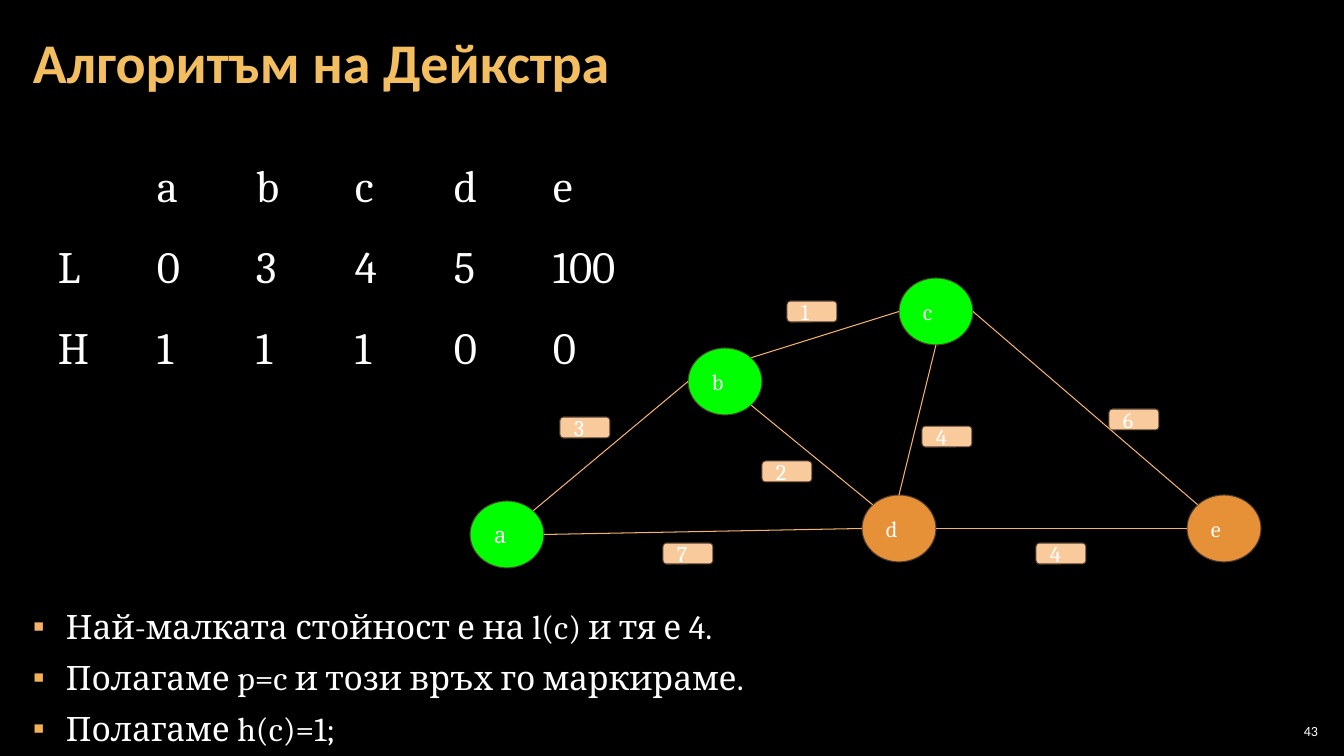
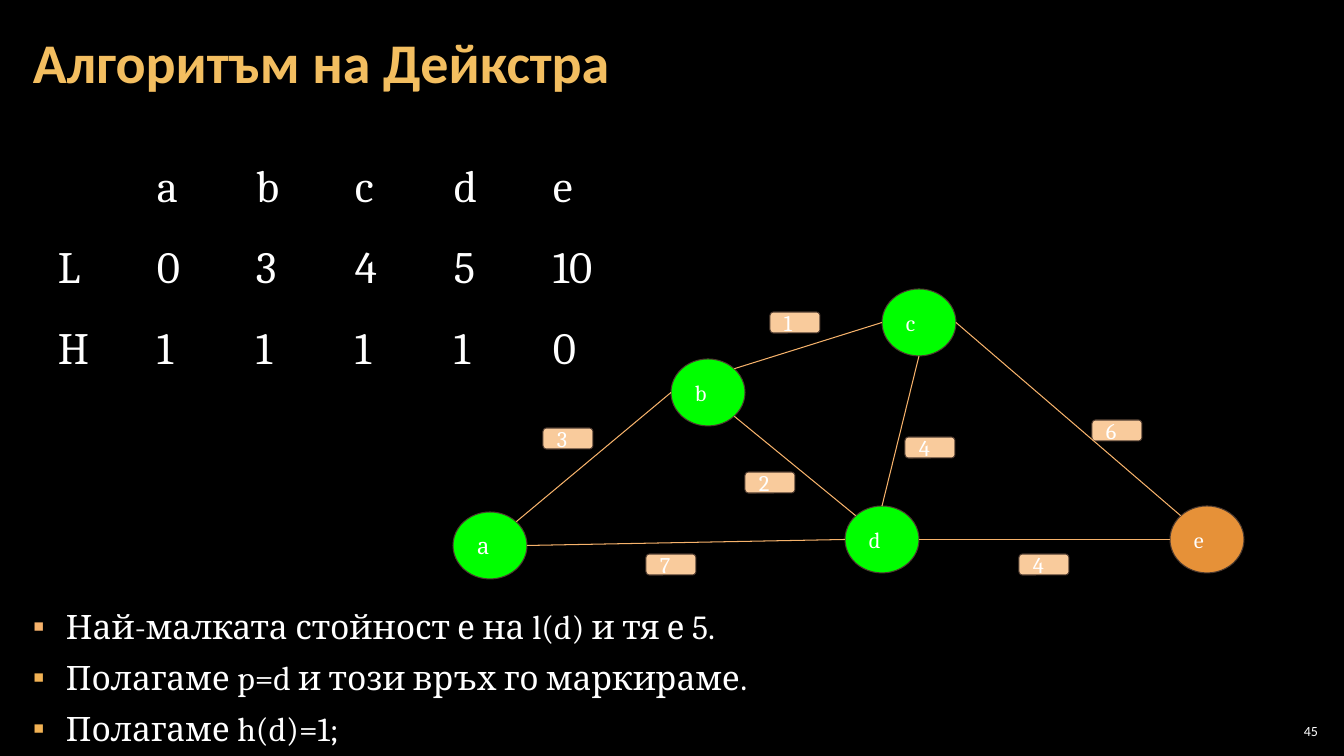
"""Two slides that step through a shortest path search on a graph."""
from lxml import etree
from pptx import Presentation
from pptx.dml.color import RGBColor
from pptx.enum.shapes import MSO_CONNECTOR, MSO_SHAPE
from pptx.enum.text import MSO_ANCHOR, MSO_AUTO_SIZE, PP_ALIGN
from pptx.oxml.ns import qn
from pptx.util import Emu, Pt

LINE = MSO_CONNECTOR.STRAIGHT
OVAL, ROUND = MSO_SHAPE.OVAL, MSO_SHAPE.ROUNDED_RECTANGLE
TOP, MIDDLE = MSO_ANCHOR.TOP, MSO_ANCHOR.MIDDLE
LEFT, RIGHT = PP_ALIGN.LEFT, PP_ALIGN.RIGHT
FIXED = MSO_AUTO_SIZE.NONE

BLACK = RGBColor(0x00, 0x00, 0x00)
WHITE = RGBColor(0xFF, 0xFF, 0xFF)
GOLD = RGBColor(0xF3, 0xBE, 0x60)
AMBER = RGBColor(0xF2, 0xB2, 0x54)
PEACH = RGBColor(0xF6, 0xB2, 0x6B)
CREAM = RGBColor(0xF9, 0xCB, 0x9C)
BROWN = RGBColor(0x4E, 0x3B, 0x30)
GREEN = RGBColor(0x00, 0xFF, 0x00)
ORANGE = RGBColor(0xE6, 0x91, 0x38)

SERIF, SANS = "Cambria", "Calibri"
PLAIN = "{2D5ABB26-0587-4C30-8999-92F81FD0307C}"
NODE_W, NODE_H = 74, 67
TAG_W, TAG_H = 50, 21
COLS, ROW_H = [99, 99, 99, 99, 99, 104], 81

NORTH, SOUTH, EAST, WEST = (0, -1), (0, 1), (1, 0), (-1, 0)
NE, NW, SE = (0.71, -0.71), (-0.71, -0.71), (0.71, 0.71)
NODES = {
    "a": ("а", 470, 501),
    "b": ("b", 688, 348),
    "c": ("c", 899, 278),
    "d": ("d", 862, 495),
    "e": ("e", 1187, 495),
}
EDGES = [
    ("a", NE, "b", WEST),
    ("b", SE, "d", NW),
    ("a", EAST, "d", WEST),
    ("b", NE, "c", WEST),
    ("d", NORTH, "c", SOUTH),
    ("c", EAST, "e", NW),
    ("d", EAST, "e", WEST),
]
TAGS = [
    ("3", 560, 417), ("7", 663, 543), ("2", 762, 461), ("1", 787, 301),
    ("4", 922, 426), ("4", 1036, 543), ("6", 1109, 409),
]
STEPS = [
    {
        "page": "43", "shift": (0, 0), "done": "abc",
        "rows": ["- a b c d e", "L 0 3 4 5 100", "H 1 1 1 0 0"],
        "notes": ["Най-малката стойност е на l(c) и тя е 4.",
                  "Полагаме p=c и този връх го маркираме.",
                  "Полагаме h(c)=1;"],
    },
    {
        "page": "45", "shift": (-17, 11), "done": "abcd",
        "rows": ["- a b c d e", "L 0 3 4 5 10", "H 1 1 1 1 0"],
        "notes": ["Най-малката стойност е на l(d) и тя е 5.",
                  "Полагаме p=d и този връх го маркираме.",
                  "Полагаме h(d)=1;"],
    },
]


def px(*nums):
    return [Emu(round(n * 914400 / 100.8)) for n in nums]


def write(frame, text, size, color=WHITE, face=SERIF, align=LEFT,
          anchor=MIDDLE, pad=(13, 13), bold=False):
    frame.word_wrap = True
    frame.auto_size = FIXED
    frame.vertical_anchor = anchor
    frame.margin_left, frame.margin_top = px(*pad)
    frame.margin_right, frame.margin_bottom = px(*pad)
    for n, words in enumerate(text.split("\n")):
        para = frame.add_paragraph() if n else frame.paragraphs[0]
        para.alignment = align
        run = para.add_run()
        run.text = words
        font = run.font
        font.name, font.size, font.bold = face, Pt(size), bold
        font.color.rgb = color


deck = Presentation()
deck.slide_width, deck.slide_height = px(1344, 756)
back = deck.slide_master.background.fill
back.solid()
back.fore_color.rgb = BLACK
layout = deck.slide_layouts[1]
for hold, box in zip(layout.placeholders, [(21, 4, 1301, 122), (21, 600, 1301, 150)]):
    hold.left, hold.top, hold.width, hold.height = px(*box)

for step in STEPS:
    slide = deck.slides.add_slide(layout)
    shapes = slide.shapes
    title, body = slide.placeholders

    write(title.text_frame, "Алгоритъм на Дейкстра", 40, GOLD, SANS,
          pad=(12, 4), bold=True)
    title.text_frame.paragraphs[0].line_spacing = 0.9

    write(body.text_frame, "\n".join(step["notes"]), 24, anchor=TOP, pad=(12, 4))
    for n, para in enumerate(body.text_frame.paragraphs):
        para.line_spacing = 1.05
        para.space_before, para.space_after = Pt(0), Pt(6)
        props = para._p.get_or_add_pPr()
        props.set("marL", str(px(33)[0]))
        props.set("indent", str(px(-33)[0]))
        tint = etree.SubElement(props, qn("a:buClr"))
        etree.SubElement(tint, qn("a:srgbClr"), val=str(AMBER if n else PEACH))
        etree.SubElement(props, qn("a:buChar"), char="▪")

    dx, dy = step["shift"]
    marks = []
    for key, (name, x, y) in NODES.items():
        fill = GREEN if key in step["done"] else ORANGE
        marks.append((OVAL, name, x, y, NODE_W, NODE_H, fill))
    for name, x, y in TAGS:
        marks.append((ROUND, name, x, y, TAG_W, TAG_H, CREAM))
    for kind, name, x, y, wide, high, fill in marks:
        mark = shapes.add_shape(kind, *px(x + dx, y + dy, wide, high))
        mark.shadow.inherit = False
        mark.fill.solid()
        mark.fill.fore_color.rgb = fill
        mark.line.color.rgb = BROWN
        mark.line.width = Pt(0.75)
        write(mark.text_frame, name, 16)

    for start, side, end, face in EDGES:
        ends = []
        for key, (ux, uy) in [(start, side), (end, face)]:
            x, y = NODES[key][1:]
            ends += px(x + dx + NODE_W / 2 * (1 + ux),
                       y + dy + NODE_H / 2 * (1 + uy))
        edge = shapes.add_connector(LINE, *ends)
        edge.line.color.rgb = PEACH
        edge.line.width = Pt(0.75)
        etree.SubElement(edge._element.spPr, qn("a:effectLst"))

    rows = step["rows"]
    frame = shapes.add_table(len(rows), len(COLS),
                             *px(45, 149, sum(COLS), ROW_H * len(rows)))
    frame._element.xpath(".//a:tableStyleId")[0].text = PLAIN
    table = frame.table
    table.first_row = table.horz_banding = False
    for col, wide in zip(table.columns, COLS):
        col.width = px(wide)[0]
    for row, line in zip(table.rows, rows):
        for cell, text in zip(row.cells, line.split()):
            cell.fill.background()
            cell.margin_left, cell.margin_top = px(13, 13)
            cell.margin_right, cell.margin_bottom = px(13, 13)
            if text != "-":
                run = cell.text_frame.paragraphs[0].add_run()
                run.text = text
                run.font.name, run.font.size = SERIF, Pt(32)
                run.font.color.rgb = WHITE

    page = shapes.add_textbox(*px(1275, 720, 47, 21))
    write(page.text_frame, step["page"], 10, face=SANS, align=RIGHT, pad=(4, 4))

deck.save("out.pptx")
